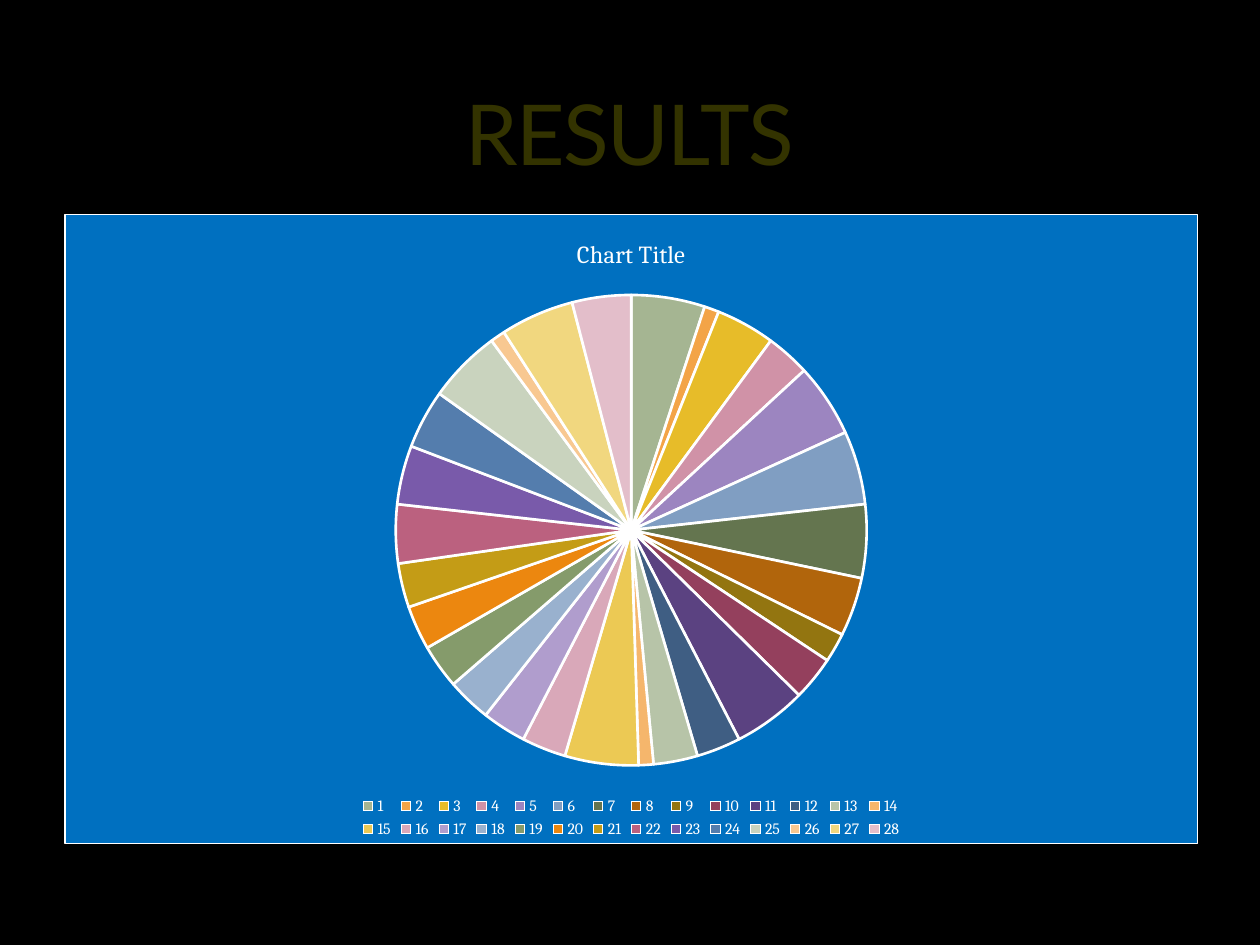
from lxml.etree import fromstring
from pptx import Presentation
from pptx.chart.data import CategoryChartData
from pptx.dml.color import RGBColor as Color
from pptx.enum.chart import XL_CHART_TYPE as ChartType, XL_LEGEND_POSITION as LegendPosition
from pptx.enum.text import MSO_ANCHOR as Anchor, PP_ALIGN as Align
from pptx.oxml.ns import nsdecls
from pptx.util import Inches, Pt

COLORS = {
    "page": "000000",
    "title": "333300",
    "outline": "3C4422",
    "panel": "0070C0",
    "light": "FFFFFF",
}
SLICE_COLORS = """
A5B592 F3A447 E7BC29 D092A7 9C85C0 809EC2 64754F
B1650C 937510 94405D 5B4281 3F5E83 B7C4A8 F5B66C
ECC954 D9A8B9 B09DCD 99B1CE 859B6B EC870F C49C16
BB617F 795AAA 547DAD C9D3BE F8C891 F1D77F E3BECA
""".split()
VALUES = [5, 1, 4, 3, 5, 5, 5, 4, 2, 3, 5, 3, 3, 1,
          5, 3, 3, 3, 3, 3, 3, 4, 4, 4, 5, 1, 5, 4]


class SlideBuilder:
    def __init__(self, page):
        self.page = page

    def background(self, color):
        fill = self.page.background.fill
        fill.solid()
        fill.fore_color.rgb = Color.from_string(COLORS[color])

    def style_font(self, font, color, **formats):
        for name, value in formats.items():
            setattr(font, name, value)
        font.color.rgb = Color.from_string(COLORS[color])

    def title(self, text, left, top, width, height):
        box = self.page.shapes.add_textbox(*map(Inches, (left, top, width, height)))
        frame = box.text_frame
        for name, value in {"word_wrap": True, "vertical_anchor": Anchor.BOTTOM}.items():
            setattr(frame, name, value)
        para = frame.paragraphs[0]
        para.alignment = Align.CENTER
        span = para.add_run()
        span.text = text
        self.style_font(span.font, "title", name="Lato", size=Pt(48))
        properties = span.font._element
        properties.set("spc", "-100")
        properties.insert(0, fromstring(
            f'<a:ln {nsdecls("a")} w="{Pt(0.25)}"><a:solidFill>'
            f'<a:srgbClr val="{COLORS["outline"]}"><a:alpha val="25000"/></a:srgbClr>'
            '</a:solidFill></a:ln>'))

    def pie(self, title, values, slice_colors, left, top, width, height):
        data = CategoryChartData()
        data.categories = [str(number) for number in range(1, len(values) + 1)]
        data.add_series("Series 1", values)
        chart = self.page.shapes.add_chart(
            ChartType.PIE, *map(Inches, (left, top, width, height)), data).chart
        self.style_font(chart.font, "light", name="Cambria", size=Pt(10))
        self.chart_area(chart)

        chart.has_title = True
        frame = chart.chart_title.text_frame
        frame.text = title
        span = frame.paragraphs[0].runs[0]
        self.style_font(span.font, "light", name="Cambria", size=Pt(14), bold=False)

        chart.has_legend = True
        legend = chart.legend
        for name, value in {"position": LegendPosition.BOTTOM,
                            "include_in_layout": False}.items():
            setattr(legend, name, value)
        self.style_font(legend.font, "light", name="Cambria", size=Pt(9))

        plot = chart.plots[0]
        plot.vary_by_categories = True
        for index, color in enumerate(slice_colors):
            form = plot.series[0].points[index].format
            form.fill.solid()
            form.fill.fore_color.rgb = Color.from_string(color)
            form.line.width = Pt(1.5)
            form.line.color.rgb = Color.from_string(COLORS["light"])

    def chart_area(self, chart):
        fill, border = (
            f'<a:solidFill><a:srgbClr val="{COLORS[name]}"/></a:solidFill>'
            for name in ("panel", "light"))
        chart._chartSpace.chart.addnext(fromstring(
            f'<c:spPr {nsdecls("c", "a")}>{fill}'
            f'<a:ln w="{Pt(0.75)}">{border}</a:ln></c:spPr>'))


def main():
    deck = Presentation()
    deck.slide_width, deck.slide_height = Inches(10), Inches(7.5)
    builder = SlideBuilder(deck.slides.add_slide(deck.slide_layouts[6]))
    builder.background("page")
    builder.title("RESULTS", 0.5, 0.17, 9, 1.33)
    builder.pie("Chart Title", VALUES, SLICE_COLORS, 0.51, 1.7, 9, 5)
    deck.save("out.pptx")


if __name__ == "__main__":
    main()
